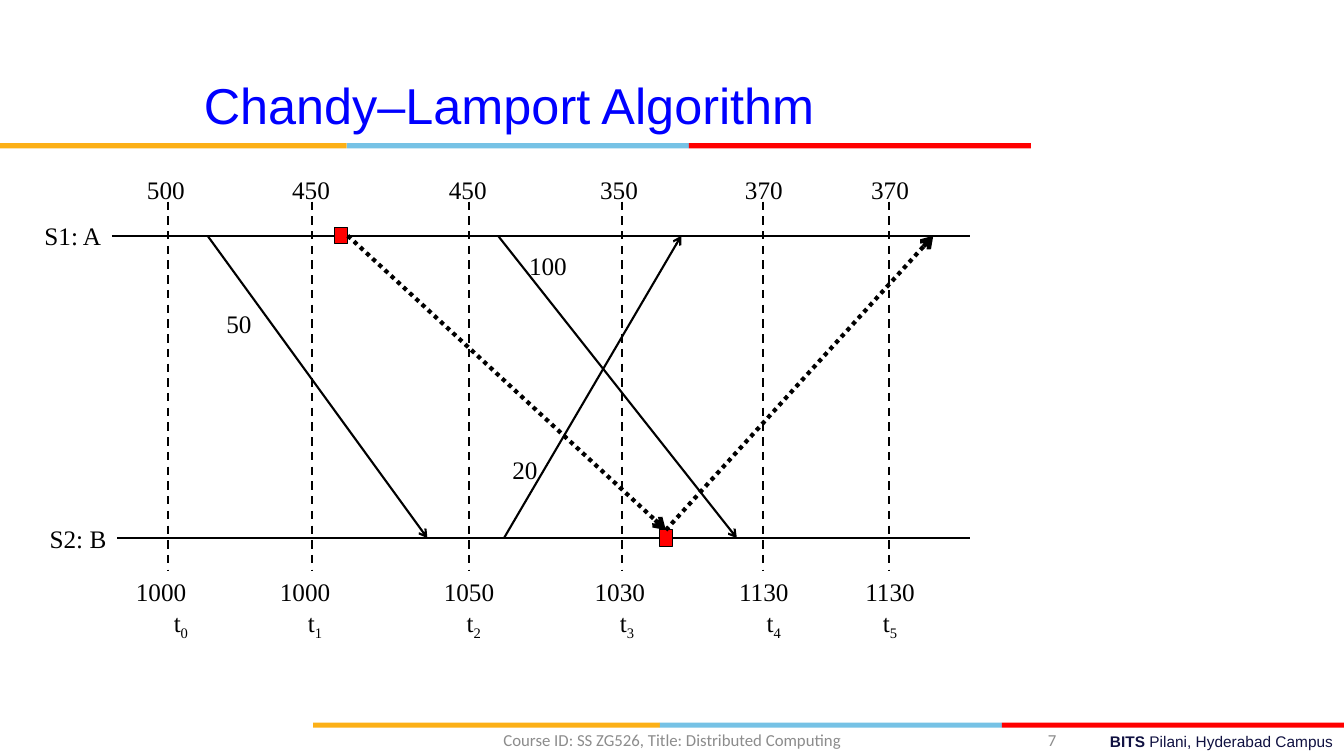
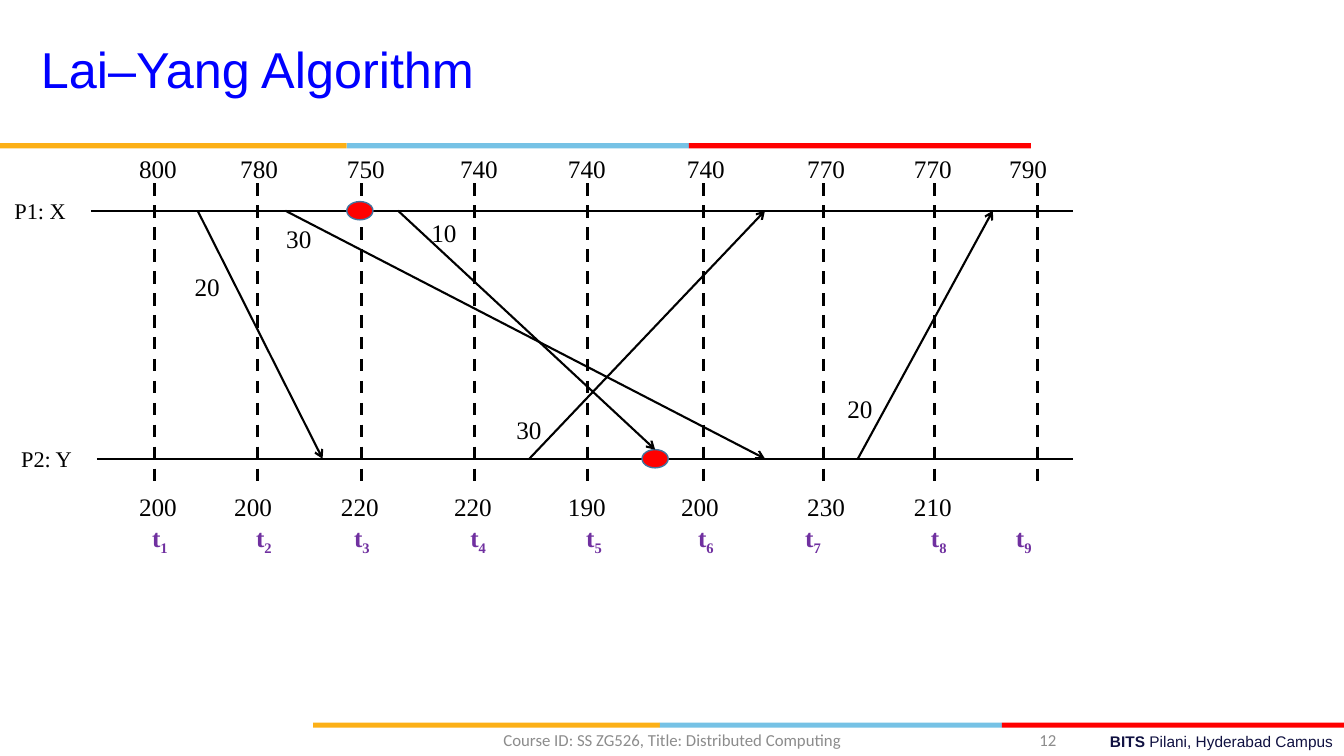
from dataclasses import dataclass

from lxml import etree
from pptx import Presentation
from pptx import util as u
from pptx.dml import color as colors
from pptx.enum import dml, shapes, text
from pptx.oxml.ns import qn

BLACK, RED, BLUE, GREY, NAVY, PURPLE = (
    "000000", "FF0000", "0000FF", "8C8C8C", "101141", "7030A0")
BANDS = [("FCB017", 8.74), ("76C2E5", 8.62), (RED, 8.62)]
PAGE_WIDTH, PAGE_HEIGHT = 33.87, 19.05
LEFT, CENTER, RIGHT = text.PP_ALIGN.LEFT, text.PP_ALIGN.CENTER, text.PP_ALIGN.RIGHT
TOP, MIDDLE = text.MSO_ANCHOR.TOP, text.MSO_ANCHOR.MIDDLE
SERIF = "Times New Roman"
HALF_LINE = 0.36


@dataclass
class Box:
    left: float
    top: float
    width: float
    height: float

    def lengths(self):
        return [u.Cm(n) for n in (self.left, self.top, self.width, self.height)]


@dataclass
class Message:
    """Arrow between the two process lines; joins are (marker, side) pairs."""
    start_x: float
    end_x: float
    down: bool = True
    label: str = ""
    label_at: tuple = (0, 0)
    begin_join: tuple = None
    end_join: tuple = None
    dotted: bool = False


@dataclass
class Diagram:
    """Positions are in cm from the start of the upper process line."""
    processes: tuple
    process_size: int
    process_gap: float
    lower_shift: float
    times: list
    time_width: float
    overhang: tuple
    upper_row: tuple
    lower_row: tuple
    time_row: tuple
    row_gaps: tuple
    time_format: dict
    markers: list
    marker_shape: int
    marker_size: tuple
    marker_line: tuple
    messages: list


def rgb(value):
    return colors.RGBColor.from_string(value)


def format_font(font, size, name, color, bold=False):
    font.size, font.name, font.bold = u.Pt(size), name, bold
    font.color.rgb = rgb(color)


def add_text(page, box, paragraphs, size=18, name=SERIF, color=BLACK,
             align=CENTER, anchor=MIDDLE):
    """Each paragraph is (spans, tab stops); each span is (text, format)."""
    frame = page.shapes.add_textbox(*box.lengths()).text_frame
    frame.word_wrap = True
    frame.vertical_anchor = anchor
    frame.margin_left = frame.margin_right = frame.margin_top = frame.margin_bottom = 0
    for index, (spans, tabs) in enumerate(paragraphs):
        para = frame.add_paragraph() if index else frame.paragraphs[0]
        para.alignment = align
        if tabs:
            tab_list = etree.SubElement(para._p.get_or_add_pPr(), qn("a:tabLst"))
            for position in tabs:
                etree.SubElement(tab_list, qn("a:tab"),
                                 pos=str(u.Cm(position)), algn="ctr")
        for words, style in spans:
            span = para.add_run()
            span.text = words
            format_font(span.font, size, name, style.get("color", color),
                        style.get("bold", False))
            if style.get("subscript"):
                span.font._element.set("baseline", "-25000")


def add_label(page, box, words, **style):
    add_text(page, box, [([(words, {})], None)], **style)


def add_figure(page, kind, box, fill, line=None):
    figure = page.shapes.add_shape(kind, *box.lengths())
    figure.shadow.inherit = False
    figure.fill.solid()
    figure.fill.fore_color.rgb = rgb(fill)
    if line:
        figure.line.color.rgb = rgb(line[0])
        figure.line.width = u.Pt(line[1])
    else:
        figure.line.fill.background()
    return figure


def add_line(page, start, end, width=1.5, dash=None, arrow=False):
    line = page.shapes.add_connector(shapes.MSO_CONNECTOR.STRAIGHT,
                                     *[u.Cm(n) for n in (*start, *end)])
    line.line.color.rgb = rgb(BLACK)
    line.line.width = u.Pt(width)
    if dash:
        line.line.dash_style = dash
    properties = line._element.spPr
    if arrow:
        etree.SubElement(properties.find(qn("a:ln")), qn("a:tailEnd"), type="arrow")
    etree.SubElement(properties, qn("a:effectLst"))
    return line


def add_band(page, left, top):
    for color, width in BANDS:
        add_figure(page, shapes.MSO_SHAPE.RECTANGLE, Box(left, top, width, 0.13), color)
        left += width


def add_footer(page, number):
    add_band(page, PAGE_WIDTH - sum(width for _, width in BANDS), 18.21)
    add_text(page, Box(12.14, 18.31, 21.46, 0.74),
             [([("BITS ", {"bold": True}), ("Pilani, Hyderabad Campus", {})], None)],
             size=11, name="Arial", color=NAVY, align=RIGHT)
    small = dict(size=12, name="Calibri", color=GREY)
    add_label(page, Box(11.23, 18.14, 11.43, 1.02),
              "Course ID: SS ZG526, Title: Distributed Computing", **small)
    add_label(page, Box(23.42, 18.14, 3.2, 1.02), str(number), align=RIGHT, **small)


def add_page(deck, title, title_box, number, line_spacing=None):
    page = deck.slides.add_slide(deck.slide_layouts[5])
    holder = page.shapes.title
    holder.left, holder.top, holder.width, holder.height = title_box.lengths()
    holder.text_frame.text = title
    holder.text_frame.vertical_anchor = MIDDLE
    para = holder.text_frame.paragraphs[0]
    para.alignment = CENTER
    if line_spacing:
        para.line_spacing = u.Pt(line_spacing)
    format_font(para.font, 36, "Arial", BLUE)
    add_band(page, 0, 3.61)
    add_footer(page, number)
    return page


def add_rows(page, box, diagram):
    """Balances above and below the processes, with the time names last."""
    def balances(row):
        values, tabs = row
        return [("".join("\t" + value for value in values), {})], tabs

    indexes, tabs = diagram.time_row
    names = []
    for index in indexes:
        names += [("\tt", diagram.time_format),
                  (str(index), {**diagram.time_format, "subscript": True})]
    above, below = diagram.row_gaps
    style = dict(align=LEFT, anchor=TOP)
    add_text(page, Box(box.left, box.top - above - HALF_LINE, box.width, 0.8),
             [balances(diagram.upper_row)], **style)
    add_text(page, Box(box.left, box.top + box.height + below - HALF_LINE, box.width, 1.6),
             [balances(diagram.lower_row), (names, tabs)], **style)


def add_diagram(page, box, diagram):
    levels = (box.top, box.top + box.height)
    for x in diagram.times:
        add_line(page, (box.left + x, levels[0] - diagram.overhang[0]),
                 (box.left + x, levels[1] + diagram.overhang[1]),
                 diagram.time_width, dml.MSO_LINE.DASH)
    for index, (process, y) in enumerate(zip(diagram.processes, levels)):
        start = box.left + index * diagram.lower_shift
        add_line(page, (start, y), (box.left + box.width, y))
        add_label(page, Box(start - diagram.process_gap - 1.6, y - 0.4, 1.6, 0.8),
                  process, size=diagram.process_size, align=RIGHT)
    add_rows(page, box, diagram)

    width, height = diagram.marker_size
    markers = [add_figure(page, diagram.marker_shape,
                          Box(box.left + x - width / 2, y - height / 2, width, height),
                          RED, diagram.marker_line)
               for x, y in zip(diagram.markers, levels)]
    for message in diagram.messages:
        start_y, end_y = levels if message.down else levels[::-1]
        line = add_line(page, (box.left + message.start_x, start_y),
                        (box.left + message.end_x, end_y),
                        3 if message.dotted else 1.5,
                        dml.MSO_LINE.ROUND_DOT if message.dotted else None, arrow=True)
        if message.begin_join:
            marker, side = message.begin_join
            line.begin_connect(markers[marker], side)
        if message.end_join:
            marker, side = message.end_join
            line.end_connect(markers[marker], side)
        if message.label:
            x, y = message.label_at
            add_label(page, Box(box.left + x - 0.75, box.top + y - 0.4, 1.5, 0.8),
                      message.label)


CHANDY_LAMPORT = Diagram(
    processes=("S1: A", "S2: B"), process_size=18, process_gap=0.27, lower_shift=0.13,
    times=[1.42, 5.05, 8.99, 12.85, 16.41, 19.58], time_width=1.5, overhang=(0.86, 0.82),
    upper_row=(["500", "450", "450", "350", "370", "370"],
               [1.36, 5.02, 8.97, 12.78, 16.43, 19.61]),
    lower_row=(["1000", "1000", "1050", "1030", "1130", "1130"],
               [1.24, 4.87, 9, 12.8, 16.43, 19.61]),
    time_row=(range(6), [1.74, 5.12, 9.12, 12.98, 16.68, 19.61]),
    row_gaps=(1.18, 1.33), time_format={},
    markers=[5.78, 13.96], marker_shape=shapes.MSO_SHAPE.RECTANGLE,
    marker_size=(0.33, 0.41), marker_line=(BLACK, 0.75),
    messages=[
        Message(2.41, 7.95, label="50", label_at=(3.2, 2.22)),
        Message(9.88, 14.35, down=False, label="20", label_at=(10.41, 5.88)),
        Message(9.73, 15.75, label="100", label_at=(10.99, 0.76)),
        Message(5.97, 13.97, begin_join=(0, 3), end_join=(1, 0), dotted=True),
        Message(13.97, 20.7, down=False, begin_join=(1, 0), dotted=True),
    ])

LAI_YANG = Diagram(
    processes=("P1: X", "P2: Y"), process_size=16, process_gap=0.63, lower_shift=0.15,
    times=[1.6, 4.21, 6.83, 9.67, 12.52, 15.44, 18.46, 21.26, 23.85],
    time_width=2.25, overhang=(0.69, 0.68),
    upper_row=(["800", "780", "750", "740", "740", "740", "770", "770", "790"],
               [1.69, 4.24, 6.93, 9.78, 12.5, 15.5, 18.53, 21.22, 23.62]),
    lower_row=(["200", "200", "220", "220", "190", "200", "230", "210"],
               [1.69, 4.09, 6.78, 9.63, 12.5, 15.35, 18.53, 21.22]),
    time_row=(range(1, 10), [1.74, 4.36, 6.83, 9.76, 12.68, 15.5, 18.2, 21.37, 23.51]),
    row_gaps=(1.08, 1.19), time_format={"color": PURPLE, "bold": True},
    markers=[6.78, 14.22], marker_shape=shapes.MSO_SHAPE.OVAL,
    marker_size=(0.66, 0.46), marker_line=("43739E", 1),
    messages=[
        Message(2.69, 5.84, label="20", label_at=(2.93, 1.9)),
        Message(4.9, 16.99, label="30", label_at=(5.24, 0.71)),
        Message(7.74, 14.22, label="10", label_at=(8.9, 0.54), end_join=(1, 0)),
        Message(11.05, 16.99, down=False, label="30", label_at=(11.04, 5.5)),
        Message(19.33, 22.73, down=False, label="20", label_at=(19.38, 4.97)),
    ])


def main():
    deck = Presentation()
    deck.slide_width, deck.slide_height = u.Cm(PAGE_WIDTH), u.Cm(PAGE_HEIGHT)
    page = add_page(deck, "Chandy–Lamport Algorithm", Box(1.12, 1.04, 23.42, 3.18), 7)
    add_diagram(page, Box(2.82, 5.94, 21.62, 7.62), CHANDY_LAMPORT)
    page = add_page(deck, "Lai–Yang Algorithm", Box(0, 0.25, 12.98, 3.18), 12,
                    line_spacing=36)
    add_diagram(page, Box(2.29, 5.31, 24.74, 6.25), LAI_YANG)
    deck.save("out.pptx")


if __name__ == "__main__":
    main()
